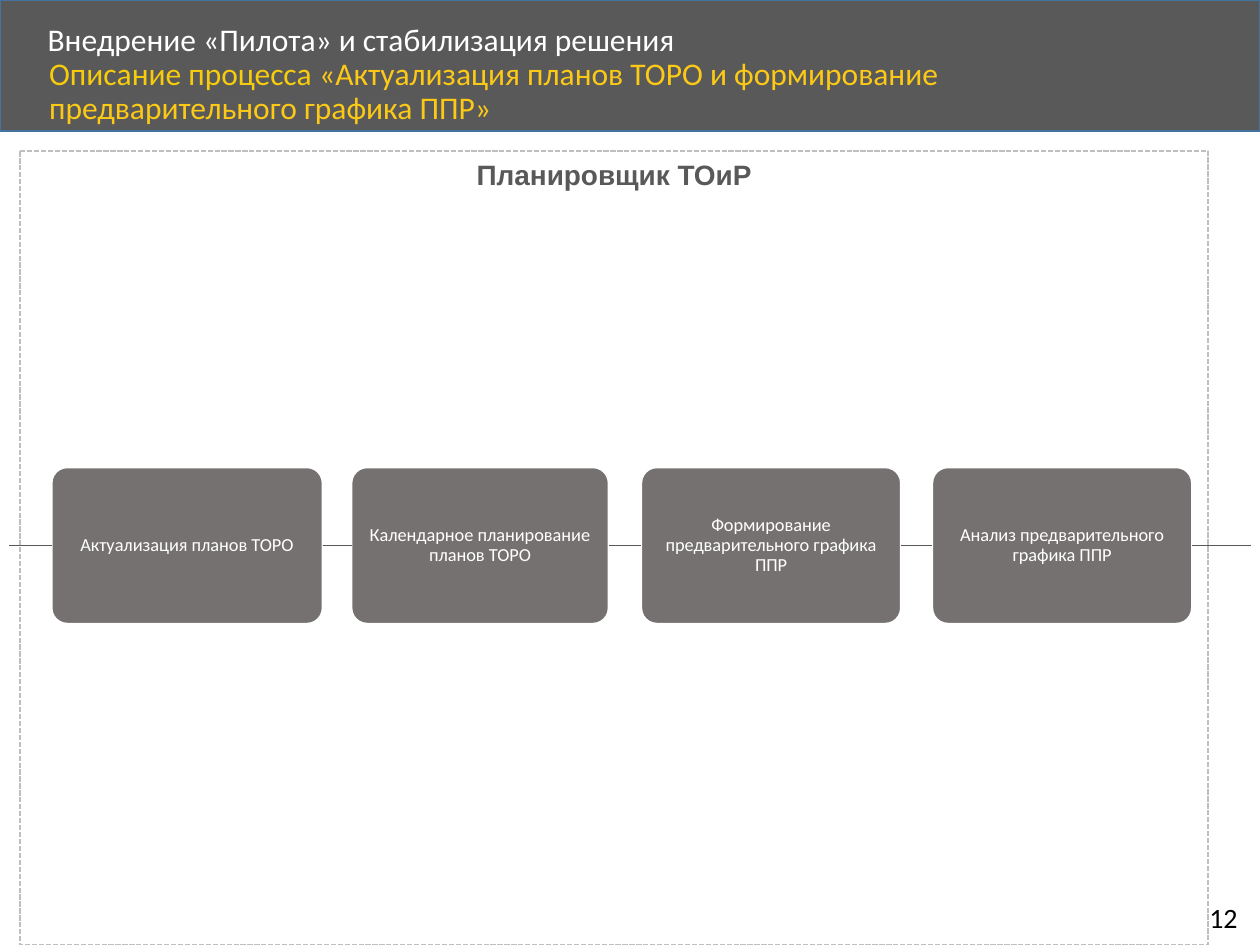
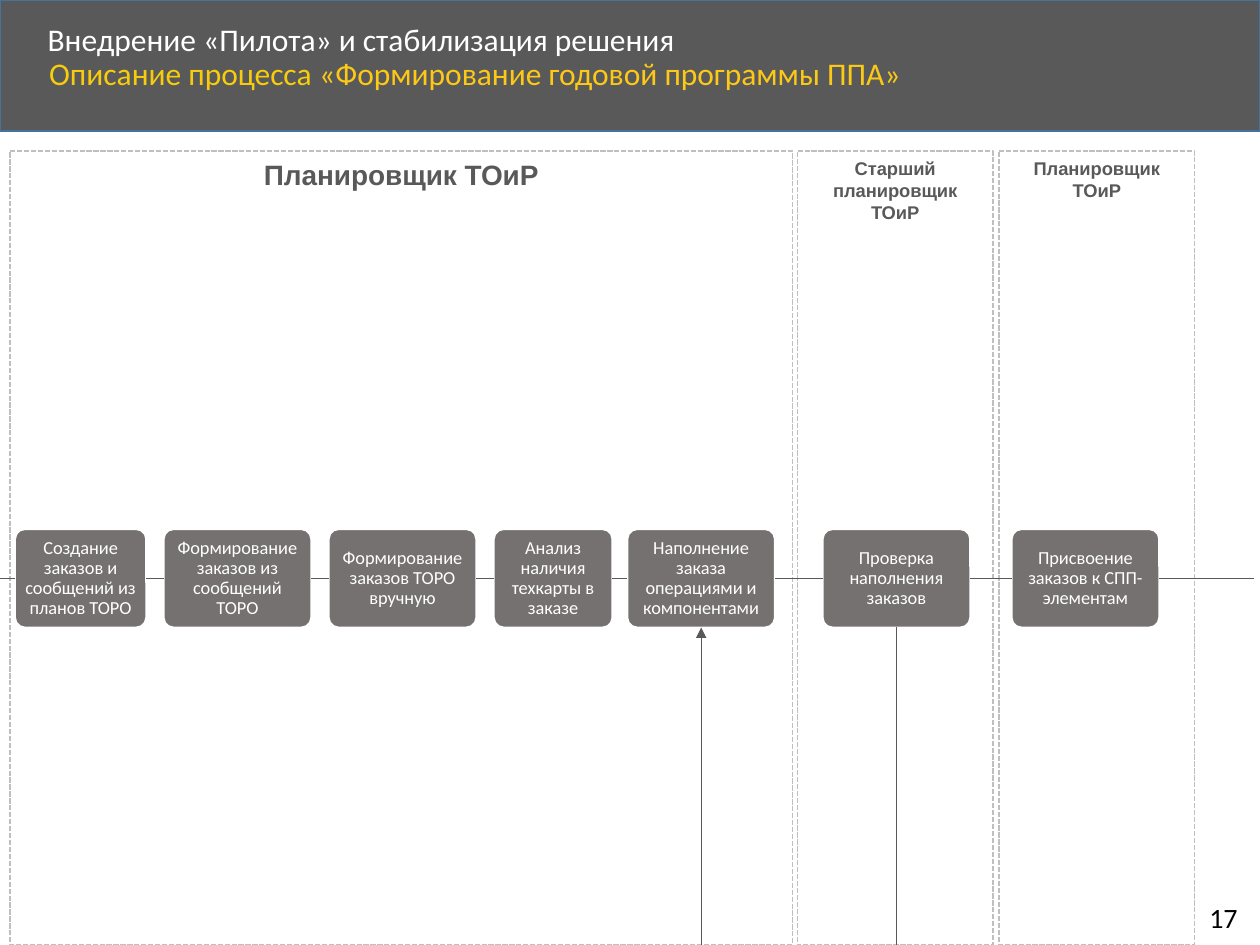
from itertools import pairwise

from lxml.etree import SubElement
from pptx import Presentation
from pptx.dml.color import RGBColor
from pptx.enum.dml import MSO_LINE
from pptx.enum.shapes import MSO_CONNECTOR as CONN, MSO_SHAPE as SHAPE
from pptx.enum.text import MSO_ANCHOR as ANCHOR, MSO_AUTO_SIZE as AUTO, PP_ALIGN as ALIGN
from pptx.oxml.ns import qn
from pptx.util import Pt

PX = 9144  # EMU in one px, 100 px to the inch
WIDTH, HEIGHT = 1000, 750
LANE_TOP = 120

GREY, STEP_GREY, LANE_GREY = "595959", "767171", "BFBFBF"
BAND_EDGE, WHITE, BLACK = "43739E", "FFFFFF", "000000"
GOLD, AMBER = "F6CC0C", "FCC917"

HEADER = "Внедрение «Пилота» и стабилизация решения"
TITLE_LEAD = "Описание процесса "


def rgb(value):
    return RGBColor.from_string(value)


def px(*values):
    return [round(v * PX) for v in values]


class Deck:
    def __init__(self):
        self.prs = Presentation()
        self.prs.slide_width, self.prs.slide_height = px(WIDTH, HEIGHT)
        self.s = None

    def slide(self, title, number):
        """Start a slide with the shared band, header, title and page number."""
        self.s = self.prs.slides.add_slide(self.prs.slide_layouts[5])
        band = self.shape(SHAPE.RECTANGLE, (0, 0, WIDTH, 104), GREY, BAND_EDGE)
        self.s.shapes.title._element.addprevious(band._element)
        self.text((28, 14, 807, 38), HEADER, 18, WHITE, ANCHOR.MIDDLE)
        self.title(title)
        self.text((950, 710, 46, 37), str(number), 16, BLACK, wrap=False)

    def title(self, text):
        sp = self.s.shapes.title
        sp.left, sp.top, sp.width, sp.height = px(29, 41, 867, 45)
        tf = sp.text_frame
        tf.auto_size, tf.vertical_anchor = AUTO.NONE, ANCHOR.TOP
        p = tf.paragraphs[0]
        for part, color in ((TITLE_LEAD, GOLD), (text, AMBER)):
            p.add_run().text = part
            self.format(p, p.runs[-1:], 18, color)
        p.line_spacing = 0.9

    def format(self, p, runs, size, color, font="Calibri", bold=False, align=ALIGN.LEFT):
        p.alignment = align
        for r in runs:
            r.font.name, r.font.size, r.font.bold = font, Pt(size), bold
            r.font.color.rgb = rgb(color)

    def text(self, box, text, size, color, anchor=ANCHOR.TOP, wrap=True):
        tf = self.s.shapes.add_textbox(*px(*box)).text_frame
        tf.word_wrap, tf.vertical_anchor = wrap, anchor
        tf.text = text
        p = tf.paragraphs[0]
        p.line_spacing = 0.9 if wrap else 1.0
        self.format(p, p.runs, size, color)

    def shape(self, kind, box, fill, line):
        sp = self.s.shapes.add_shape(kind, *px(*box))
        sp.shadow.inherit = False
        if fill:
            sp.fill.solid()
            sp.fill.fore_color.rgb = rgb(fill)
        else:
            sp.fill.background()
        sp.line.color.rgb, sp.line.width = rgb(line), Pt(1)
        return sp

    def lane(self, x, w, role, size=10.5):
        """Draw the dashed column of one role, down to the slide's lower edge."""
        sp = self.shape(SHAPE.ROUNDED_RECTANGLE, (x, LANE_TOP, w, HEIGHT - LANE_TOP), None, LANE_GREY)
        sp.adjustments[0] = 0
        sp.line.dash_style = MSO_LINE.SQUARE_DOT
        tf = sp.text_frame
        tf.text, tf.vertical_anchor = role, ANCHOR.TOP
        p = tf.paragraphs[0]
        self.format(p, p.runs, size, GREY, "Arial", True, ALIGN.CENTER)

    def step(self, x, y, w, h, text):
        sp = self.shape(SHAPE.ROUNDED_RECTANGLE, (x, y, w, h), STEP_GREY, WHITE)
        sp.adjustments[0] = 0.1
        tf = sp.text_frame
        tf.text, tf.vertical_anchor = text, ANCHOR.MIDDLE
        tf.margin_left = tf.margin_right = round(h * 0.06) * PX
        tf.margin_top = tf.margin_bottom = 0
        p = tf.paragraphs[0]
        p.line_spacing = 0.9
        self.format(p, p.runs, 10.5, WHITE, align=ALIGN.CENTER)

    def line(self, x1, y1, x2, y2, arrow=False):
        cx = self.s.shapes.add_connector(CONN.STRAIGHT, *px(x1, y1, x2, y2))
        cx.line.color.rgb, cx.line.width = rgb(GREY), Pt(0.5)
        if arrow:
            SubElement(cx.line._get_or_add_ln(), qn("a:tailEnd"), type="triangle")
        SubElement(cx._element.spPr, qn("a:effectLst"))

    def flow(self, y, h, steps, start, end):
        """Draw a row of (x, width, text) steps joined by lines from start to end."""
        for x, w, text in steps:
            self.step(x, y, w, h, text)
        edges = [(start, 0)] + [(x, w) for x, w, _ in steps] + [(end, 0)]
        for (x, w), (following, _) in pairwise(edges):
            self.line(x + w, y + h / 2, following, y + h / 2)


def main():
    deck = Deck()

    deck.slide("«Актуализация планов ТОРО и формирование предварительного графика ППР»", 12)
    deck.lane(16, 943, "Планировщик ТОиР", 16)
    deck.flow(371, 124, [
        (41, 215, "Актуализация планов ТОРО"),
        (279, 204, "Календарное планирование планов ТОРО"),
        (509, 206, "Формирование предварительного графика ППР"),
        (740, 206, "Анализ предварительного графика ППР"),
    ], start=7, end=993)

    deck.slide("«Формирование годовой программы ППА»", 17)
    deck.lane(8, 621, "Планировщик ТОиР", 16)
    deck.lane(633, 155, "Старший планировщик ТОиР")
    deck.lane(793, 155, "Планировщик ТОиР")
    top, height, width = 420, 78, 117
    fill_x, check_x = 498, 653
    deck.flow(top, height, [
        (12, 104, "Создание заказов и сообщений из планов ТОРО"),
        (130, width, "Формирование заказов из сообщений ТОРО"),
        (261, width, "Формирование заказов ТОРО вручную"),
        (392, 94, "Анализ наличия техкарты в заказе"),
        (fill_x, width, "Наполнение заказа операциями и компонентами"),
        (check_x, width, "Проверка наполнения заказов"),
        (803, width, "Присвоение заказов к СПП-элементам"),
    ], start=0, end=995)
    # Return path from checking to filling runs through the lower edge
    bottom = top + height
    deck.line(check_x + width / 2, bottom, check_x + width / 2, HEIGHT)
    deck.line(fill_x + width / 2, HEIGHT, fill_x + width / 2, bottom, arrow=True)

    deck.prs.save("out.pptx")


if __name__ == "__main__":
    main()
